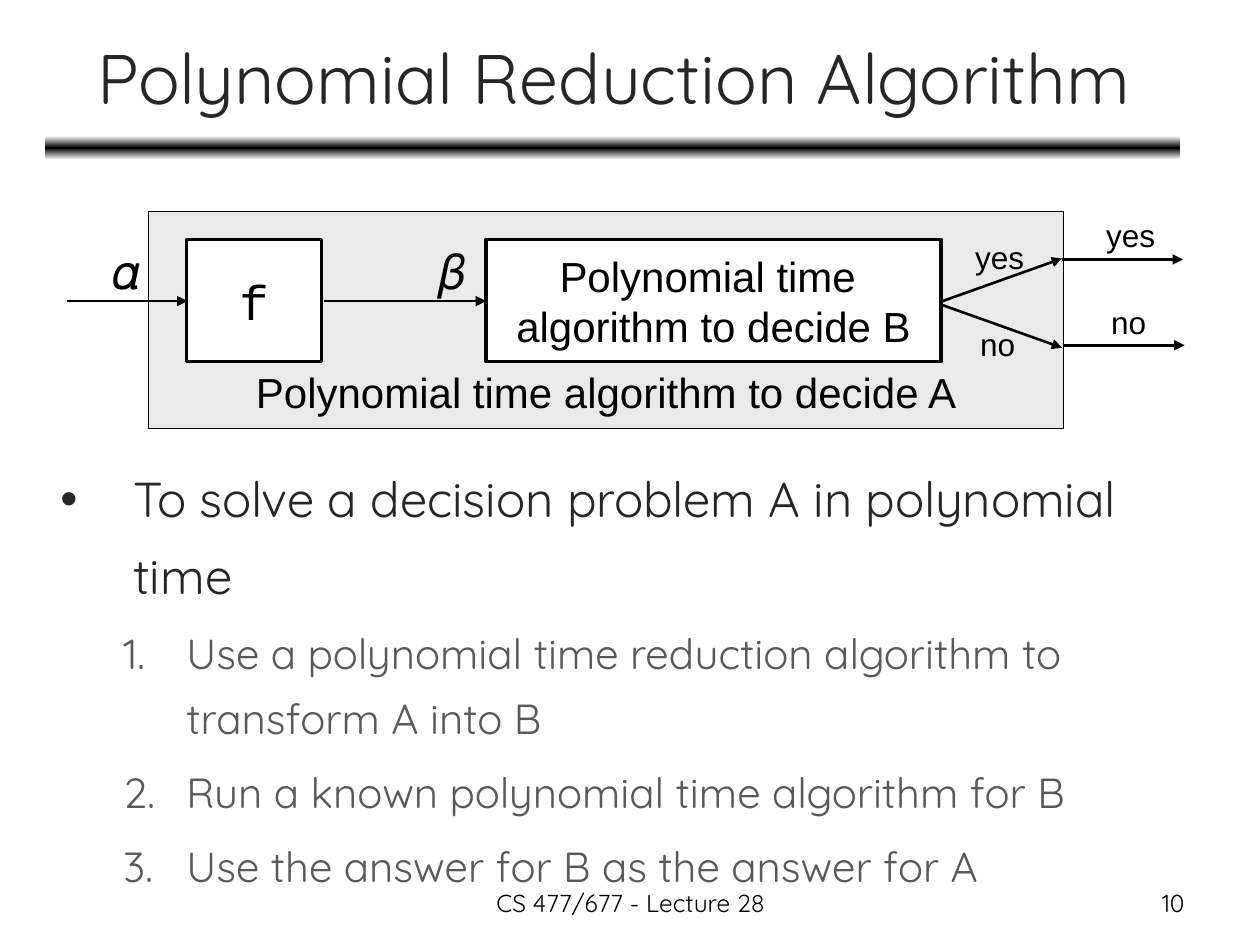
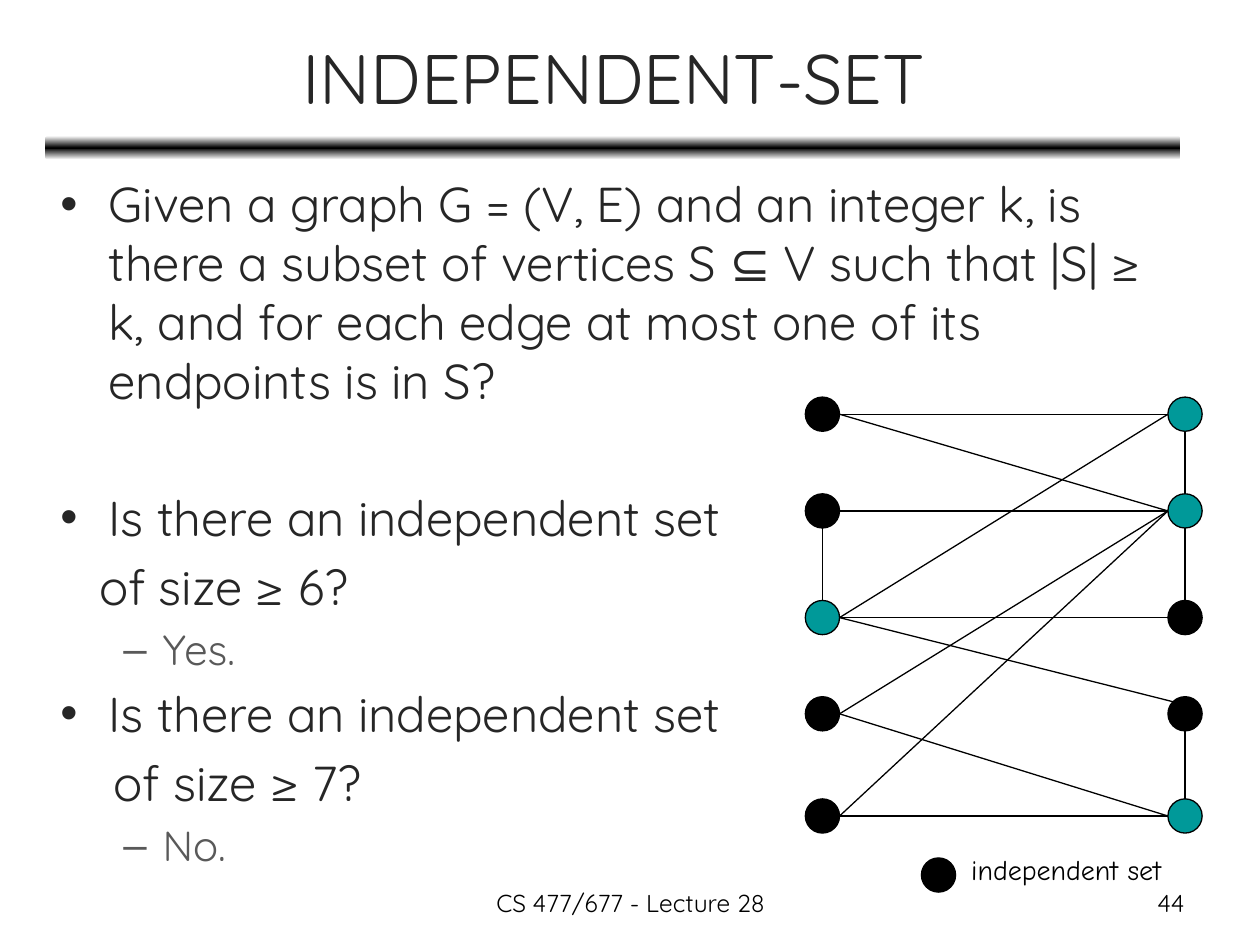
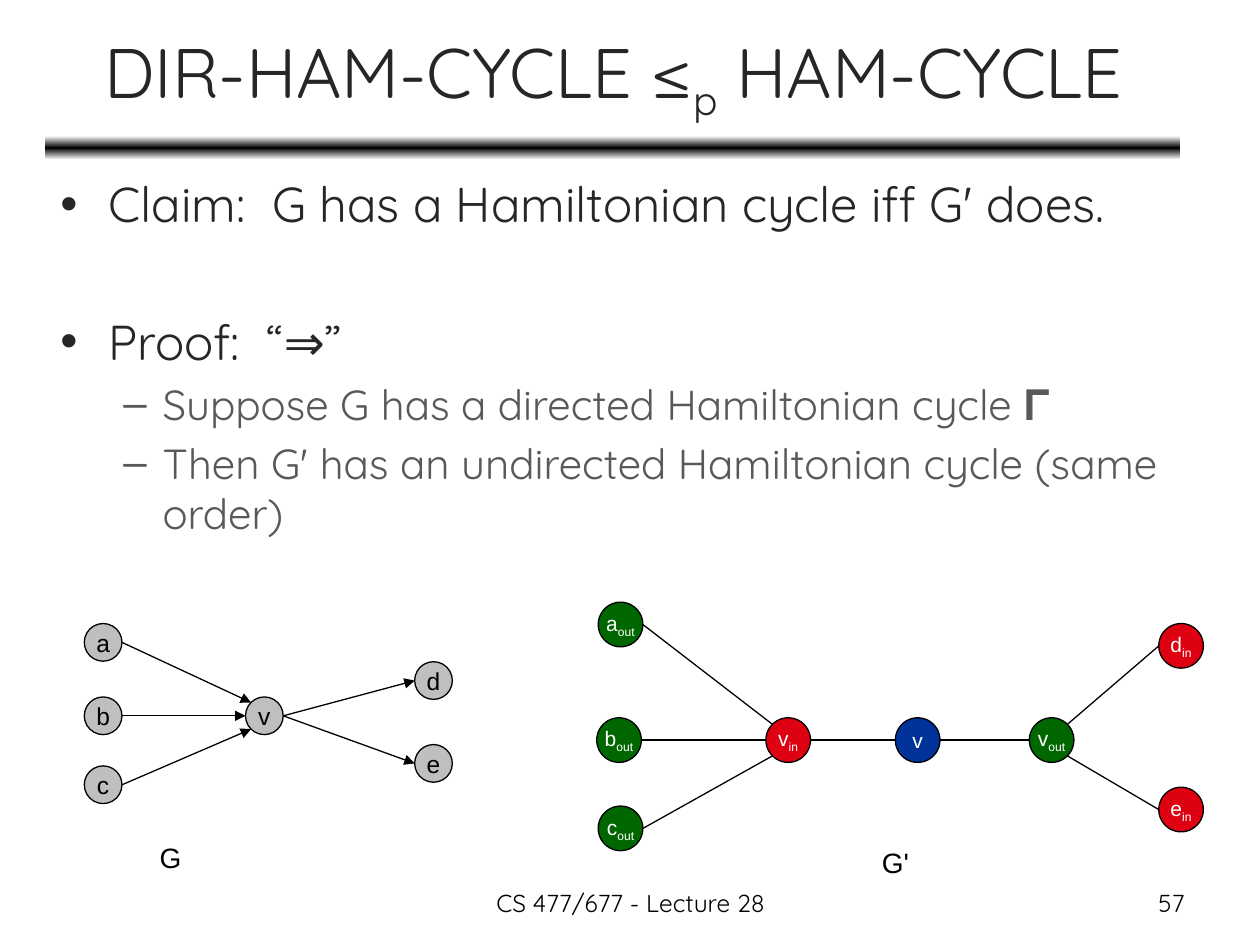
from math import cos, radians, sin

from lxml import etree
from pptx import Presentation
from pptx.dml.color import RGBColor
from pptx.enum.shapes import MSO_CONNECTOR as Connector, MSO_SHAPE as Shape
from pptx.enum.text import MSO_ANCHOR as Anchor, PP_ALIGN as Align
from pptx.oxml.ns import qn
from pptx.util import Cm, Pt

# Shared style (all lengths in cm)
BLACK, WHITE, DARK, GREY = "000000", "FFFFFF", "262626", "595959"
PANEL, SILVER, TEAL = "EAEAEA", "BFBFBF", "009999"
RED, GREEN, BLUE = "DD0111", "006600", "003399"
MAIN, DIAGRAM = "Quicksand", "Arial"
FOOTER = "CS 477/677 - Lecture 28"
BODY = (0.97, 3.38, 22.86, 14.1)

# Paragraph kinds: level, size, colour, left margin, first-line indent, bullet
KINDS = {
    "goal": (0, 28, DARK, 1.47, -1.47, "•"),
    "step": (1, 24, GREY, 2.54, -1.27, "number"),
    "point": (0, 28, DARK, 0.97, -0.97, "•"),
    "size 6": (0, 28, DARK, 0.78, 0, None),
    "size 7": (0, 28, DARK, 1.07, 0, None),
    "dash": (1, 24, GREY, 2.06, -0.79, "–"),
}
EXTRA_GAP = 39.2  # one empty 28 pt line with its spacing

# Slide content: text between underscores is subscript
REDUCTION_BODY = [
    ("goal", "To solve a decision problem A in polynomial time", 0),
    ("step", "Use a polynomial time reduction algorithm to transform A into B", 0),
    ("step", "Run a known polynomial time algorithm for B", 0),
    ("step", "Use the answer for B as the answer for A", 0),
]
REDUCTION_BOXES = [
    ("f", (3.76, 4.83, 2.72, 2.46), 28, "Courier New"),
    ("Polynomial time \nalgorithm to decide B", (9.8, 4.83, 9.17, 2.46), 24, DIAGRAM),
]
REDUCTION_ARROWS = [
    ((1.35, 6.07), (3.78, 6.07)),
    ((6.53, 6.07), (9.8, 6.07)),
    ((19, 6.07), (21.41, 5.21)),
    ((19, 6.15), (21.41, 7.01)),
    ((21.41, 5.23), (23.85, 5.23)),
    ((21.44, 6.96), (23.88, 6.96)),
]
REDUCTION_LABELS = [
    ("𝛼", (2.01, 4.72, 1.14, 1.45), 28),
    ("𝛽", (8.59, 4.72, 1.12, 1.45), 28),
    ("yes", (19.41, 4.67, 1.5, 1.02), 18),
    ("no", (19.51, 6.43, 1.22, 1.02), 18),
    ("yes", (22.05, 4.24, 1.5, 1.02), 18),
    ("no", (22.15, 5.99, 1.22, 1.02), 18),
]

INDEPENDENT_BODY = [
    ("point", "Given a graph G = (V, E) and an integer k, is there a subset of "
              "vertices S ⊆ V such that |S| ≥ k, and for each edge at most one "
              "of its endpoints is in S?", 0),
    ("point", "Is there an independent set", EXTRA_GAP),
    ("size 6", "of size ≥ 6?", 0),
    ("dash", "Yes.", 0),
    ("point", "Is there an independent set", 0),
    ("size 7", "of size ≥ 7?", 0),
    ("dash", "No.", 0),
]
COLUMNS = {"L": 16.58, "R": 23.89}
ROWS = [8.35, 10.3, 12.45, 14.39, 16.45]
COVER = {"L2", "R0", "R1", "R4"}
CROSS_EDGES = ["L0 R0", "L0 R1", "L1 R1", "L2 R0", "L2 R2", "L3 R1", "L3 R4",
               "L4 R1", "L4 R4"]
DOWN_EDGES = ["R0 R1", "R1 R2", "R3 R4", "L1 L2"]

HAMILTON_BODY = [
    ("point", "Claim:  G has a Hamiltonian cycle iff G' does.", 0),
    ("point", "Proof:  “⇒”", EXTRA_GAP),
    ("dash", "Suppose G has a directed Hamiltonian cycle 𝚪", 0),
    ("dash", "Then G' has an undirected Hamiltonian cycle (same order)", 0),
]
DIRECTED_NODES = {
    "a": (2.08, 12.95, SILVER), "b": (2.08, 14.43, SILVER),
    "c": (2.08, 15.82, SILVER), "v": (5.33, 14.43, SILVER),
    "d": (8.74, 13.72, SILVER), "e": (8.74, 15.39, SILVER),
}
DIRECTED_EDGES = ["a E v NW", "b E v W", "c E v SW", "v E d W", "v E e W"]
UNDIRECTED_NODES = {
    "a_out": (12.51, 12.59, GREEN), "b_out": (12.48, 14.92, GREEN),
    "c_out": (12.51, 16.7, GREEN), "v_in": (15.89, 14.92, RED),
    "v": (18.5, 14.92, BLUE), "v_out": (21.2, 14.92, GREEN),
    "d_in": (23.81, 13.02, RED), "e_in": (23.81, 16.32, RED),
}
UNDIRECTED_EDGES = ["a_out E v_in NW", "b_out E v_in W", "c_out E v_in SW",
                    "v_in E v W", "v E v_out W", "v_out NE d_in W",
                    "v_out SE e_in W"]
COMPASS = {side: turn * 45 for turn, side in
           enumerate(["E", "SE", "S", "SW", "W", "NW", "N", "NE"])}


def color(value):
    return RGBColor.from_string(value)


def add_element(parent, tag, **attributes):
    return etree.SubElement(parent, qn(tag), attributes)


def write(paragraph, text, size, font, ink, align=Align.LEFT):
    paragraph.alignment = align
    paragraph.font.size = Pt(size)
    paragraph.font.name = font
    paragraph.font.color.rgb = color(ink)
    for index, piece in enumerate(text.split("_")):
        run = paragraph.add_run()
        run.text = piece
        if index % 2:
            run.font._element.set("baseline", "-25000")


def fill_text(frame, text, size, font, ink, align=Align.LEFT,
              anchor=Anchor.TOP, wrap=False):
    frame.word_wrap = wrap
    frame.vertical_anchor = anchor
    for index, line in enumerate(text.split("\n")):
        paragraph = frame.add_paragraph() if index else frame.paragraphs[0]
        write(paragraph, line, size, font, ink, align)


def add_text(slide, place, *style, **options):
    box = slide.shapes.add_textbox(*map(Cm, place))
    fill_text(box.text_frame, *style, **options)


def add_block(slide, kind, place, fill, width):
    shape = slide.shapes.add_shape(kind, *map(Cm, place))
    shape.shadow.inherit = False
    shape.fill.solid()
    shape.fill.fore_color.rgb = color(fill)
    shape.line.color.rgb = color(BLACK)
    shape.line.width = Pt(width)
    return shape


def add_line(slide, start, end, width=0.75, arrow=False):
    line = slide.shapes.add_connector(Connector.STRAIGHT, *map(Cm, start + end))
    line.line.color.rgb = color(BLACK)
    line.line.width = Pt(width)
    if arrow:
        add_element(line.line._get_or_add_ln(), "a:tailEnd", type="triangle")
    add_element(line._element.spPr, "a:effectLst")


def add_band(slide):
    band = slide.shapes.add_shape(Shape.ROUNDED_RECTANGLE,
                                  *map(Cm, (0.91, 2.74, 22.89, 0.48)))
    band.shadow.inherit = False
    band.line.fill.background()
    band.fill.gradient()
    gradient = band._element.spPr.find(qn("a:gradFill"))
    for child in list(gradient):
        gradient.remove(child)
    stops = add_element(gradient, "a:gsLst")
    for position, shade in (("0", WHITE), ("50000", BLACK), ("100000", WHITE)):
        stop = add_element(stops, "a:gs", pos=position)
        add_element(stop, "a:srgbClr", val=shade)
    add_element(gradient, "a:lin", ang="5400000", scaled="0")


def add_slide(presentation, title, number):
    slide = presentation.slides.add_slide(presentation.slide_layouts[6])
    add_band(slide)
    add_text(slide, (0.94, 0.28, 22.86, 2.51), title, 40, MAIN, DARK,
             Align.CENTER, Anchor.MIDDLE, wrap=True)
    add_text(slide, (8.69, 17.78, 8.05, 0.89), FOOTER, 14, MAIN, BLACK,
             Align.CENTER, wrap=True)
    add_text(slide, (18.21, 17.78, 5.92, 0.89), str(number), 14, MAIN, BLACK,
             Align.RIGHT, wrap=True)
    return slide


def add_body(slide, place, items, spacing=1.0):
    frame = slide.shapes.add_textbox(*map(Cm, place)).text_frame
    frame.word_wrap = True
    for index, (kind, text, gap) in enumerate(items):
        level, size, ink, left, indent, bullet = KINDS[kind]
        paragraph = frame.add_paragraph() if index else frame.paragraphs[0]
        paragraph.level = level
        paragraph.line_spacing = spacing
        if index:
            paragraph.space_before = Pt(size * 0.2 + gap)
        properties = paragraph._p.get_or_add_pPr()
        properties.set("marL", str(Cm(left)))
        properties.set("indent", str(Cm(indent)))
        if bullet == "number":
            add_element(properties, "a:buAutoNum", type="arabicPeriod")
        elif bullet:
            add_element(properties, "a:buFont", typeface=DIAGRAM)
            add_element(properties, "a:buChar", char=bullet)
        else:
            add_element(properties, "a:buNone")
        write(paragraph, text, size, MAIN, ink)


def add_node(slide, x, y, diameter, fill):
    corner = (x - diameter / 2, y - diameter / 2)
    return add_block(slide, Shape.OVAL, corner + (diameter, diameter), fill, 0.75)


def add_graph(slide, nodes, edges, diameter, size=None, ink=BLACK, arrow=False):
    def rim(name, side):
        x, y, _ = nodes[name]
        angle = radians(COMPASS[side])
        return x + diameter / 2 * cos(angle), y + diameter / 2 * sin(angle)

    for name, (x, y, fill) in nodes.items():
        node = add_node(slide, x, y, diameter, fill)
        if size:
            fill_text(node.text_frame, name, size, DIAGRAM, ink,
                      Align.CENTER, Anchor.MIDDLE)
    for edge in edges:
        start, start_side, end, end_side = edge.split()
        add_line(slide, rim(start, start_side), rim(end, end_side), arrow=arrow)


def build_reduction(presentation):
    slide = add_slide(presentation, "Polynomial Reduction Algorithm", 10)
    panel = add_block(slide, Shape.RECTANGLE, (3, 4.27, 18.44, 4.37), PANEL, 0.75)
    panel.text_frame.margin_bottom = Cm(0.24)
    fill_text(panel.text_frame, "Polynomial time algorithm to decide A", 24,
              DIAGRAM, BLACK, Align.CENTER, Anchor.BOTTOM)
    add_body(slide, (0.97, 8.97, 23.6, 8.51), REDUCTION_BODY, 1.3)
    for text, place, size, font in REDUCTION_BOXES:
        box = add_block(slide, Shape.RECTANGLE, place, WHITE, 2)
        fill_text(box.text_frame, text, size, font, BLACK,
                  Align.CENTER, Anchor.MIDDLE)
    for start, end in REDUCTION_ARROWS:
        add_line(slide, start, end, 1.5, arrow=True)
    for text, place, size in REDUCTION_LABELS:
        add_text(slide, place, text, size, DIAGRAM, BLACK)


def build_independent_set(presentation):
    slide = add_slide(presentation, "INDEPENDENT-SET", 44)
    add_body(slide, BODY, INDEPENDENT_BODY)
    nodes = {}
    for column, x in COLUMNS.items():
        for row, y in enumerate(ROWS):
            name = f"{column}{row}"
            nodes[name] = (x, y, TEAL if name in COVER else BLACK)
    edges = ["L2 E R3 NW"]
    for pairs, leave, arrive in ((CROSS_EDGES, "E", "W"), (DOWN_EDGES, "S", "N")):
        for pair in pairs:
            start, end = pair.split()
            edges.append(f"{start} {leave} {end} {arrive}")
    add_graph(slide, nodes, edges, 0.69)
    # Legend
    add_node(slide, 18.92, 17.64, 0.69, BLACK)
    add_text(slide, (19.33, 17.07, 4.72, 1.04), "independent set", 16,
             "Comic Neue", BLACK)


def build_hamilton(presentation):
    slide = add_slide(presentation, "DIR-HAM-CYCLE ≤_p_ HAM-CYCLE", 57)
    add_body(slide, BODY, HAMILTON_BODY)
    add_graph(slide, DIRECTED_NODES, DIRECTED_EDGES, 0.76, 14, arrow=True)
    add_graph(slide, UNDIRECTED_NODES, UNDIRECTED_EDGES, 0.9, 12, WHITE)
    for text, left, top in (("G", 2.97, 16.81), ("G'", 17.53, 16.92)):
        add_text(slide, (left, top, 2.54, 1.04), text, 16, DIAGRAM, BLACK, wrap=True)


def main():
    presentation = Presentation()
    presentation.slide_width, presentation.slide_height = Cm(25.4), Cm(19.05)
    build_reduction(presentation)
    build_independent_set(presentation)
    build_hamilton(presentation)
    presentation.save("out.pptx")


if __name__ == "__main__":
    main()
